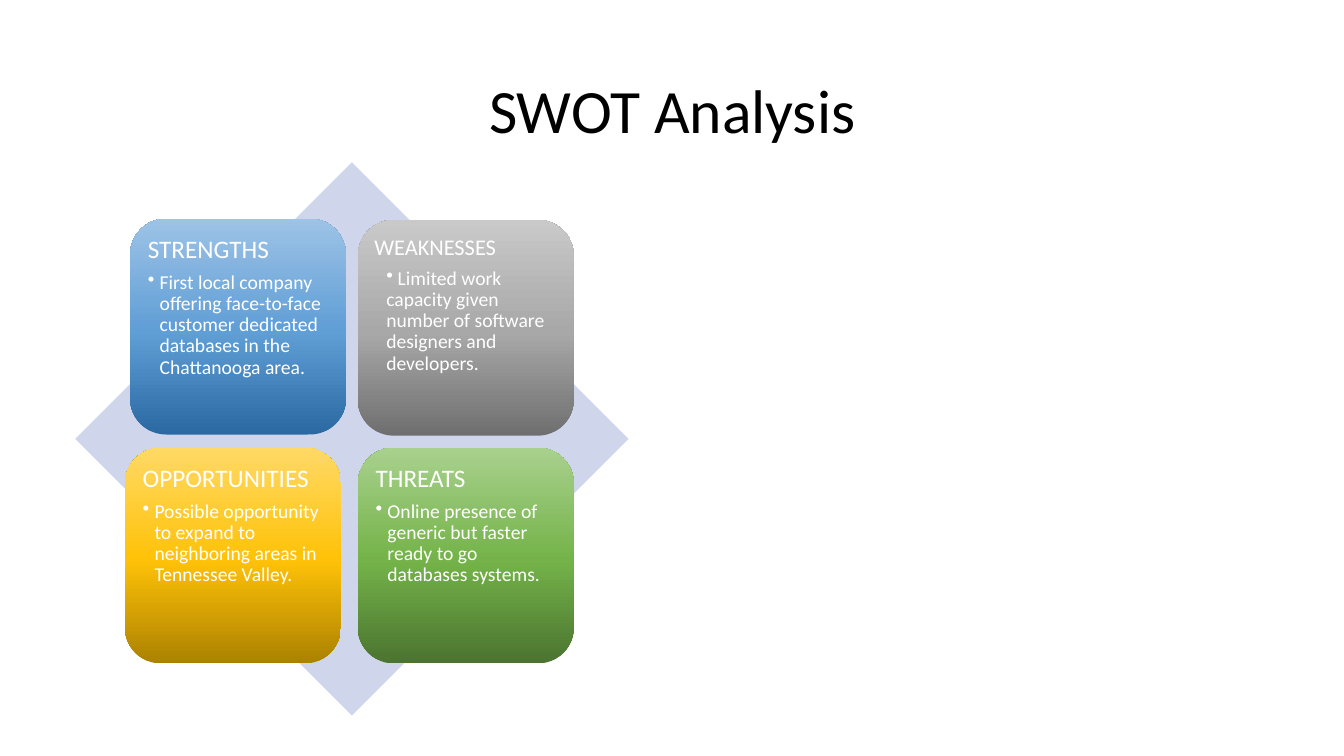
from lxml import etree
from pptx import Presentation
from pptx import util as u
from pptx.dml.color import RGBColor
from pptx.enum import shapes, text
from pptx.oxml import ns

FONT = "Calibri"
SIDE = 5.44  # tile side, cm

# name, left, top, head size, inset, hanging indent, gradient (bottom to top), point
TILES = [
    ("WEAKNESSES", 9.02, 5.54, 16, 0.15, 0, ("6F6F6F", "A8A8A8", "C9C9C9"),
     " Limited work capacity given number of software designers and developers."),
    ("STRENGTHS", 3.28, 5.51, 18, 0.18, -0.3, ("2A69A2", "609ED6", "9DC3E6"),
     "First local company offering face-to-face customer dedicated databases "
     "in the Chattanooga area."),
    ("OPPORTUNITIES", 3.15, 11.28, 18, 0.18, -0.3, ("AB8100", "FFC208", "FFD966"),
     "Possible opportunity to expand to neighboring areas in Tennessee Valley."),
    ("THREATS", 9.02, 11.28, 18, 0.18, -0.3, ("4B7430", "74B349", "A9D18E"),
     "Online presence of generic but faster ready to go databases systems."),
]


def color(code):
    return RGBColor.from_string(code)


def apply(obj, form):
    for key, val in form.items():
        setattr(obj, key, val)


def sub(node, tag, **attrs):
    return etree.SubElement(node, ns.qn(tag), attrs)


def set_frame(frame, inset, anchor):
    sides = ("left", "right", "top", "bottom")
    form = {f"margin_{side}": u.Cm(inset) for side in sides}
    apply(frame, {**form, "word_wrap": True, "vertical_anchor": anchor})


def write(para, words, size, ink, align, after=0):
    apply(para, {"text": words, "alignment": align, "line_spacing": 0.9,
                 "space_before": u.Pt(0), "space_after": u.Pt(after)})
    apply(para.runs[0].font, {"name": FONT, "size": u.Pt(size)})
    para.runs[0].font.color.rgb = color(ink)


def add_bullet(para, hang):
    props = para._p.get_or_add_pPr()
    props.set("marL", str(u.Cm(0.3)))
    props.set("indent", str(u.Cm(hang)))
    sub(props, "a:buChar", char="•")


def add_shape(slide, kind, left, top, side):
    shape = slide.shapes.add_shape(kind, *map(u.Cm, (left, top, side, side)))
    shape.shadow.inherit = False
    shape.line.fill.background()
    return shape


def fade(shape, codes):
    """Fill a shape with three colours running from bottom to top."""
    shape.fill.gradient()
    grad = shape._element.spPr.find(ns.qn("a:gradFill"))
    stops = grad.find(ns.qn("a:gsLst"))
    for stop in list(stops):
        stops.remove(stop)
    for place, code in zip((0, 48, 100), codes):
        stop = sub(stops, "a:gs", pos=str(place * 1000))
        sub(stop, "a:srgbClr", val=code)
    shape.fill.gradient_angle = 90


def add_title(slide, words):
    box = slide.shapes.add_textbox(*map(u.Cm, (2.34, 1.02, 29.21, 3.68)))
    set_frame(box.text_frame, 0.2, text.MSO_ANCHOR.MIDDLE)
    write(box.text_frame.paragraphs[0], words, 44, "000000", text.PP_ALIGN.CENTER)


def add_tile(slide, name, left, top, size, inset, hang, codes, point):
    tile = add_shape(slide, shapes.MSO_SHAPE.ROUNDED_RECTANGLE, left, top, SIDE)
    fade(tile, codes)
    frame = tile.text_frame
    set_frame(frame, inset, text.MSO_ANCHOR.TOP)
    left_side = text.PP_ALIGN.LEFT
    write(frame.paragraphs[0], name, size, "FFFFFF", left_side, size * 0.35)
    para = frame.add_paragraph()
    para.level = 1
    add_bullet(para, hang)
    write(para, point, 14, "FFFFFF", left_side, 2.1)


def main():
    deck = Presentation()
    apply(deck, {"slide_width": u.Cm(33.87), "slide_height": u.Cm(19.05)})
    slide = deck.slides.add_slide(deck.slide_layouts[6])

    add_title(slide, "SWOT Analysis")

    # Diamond behind the four tiles
    back = add_shape(slide, shapes.MSO_SHAPE.DIAMOND, 1.9, 4.09, 13.94)
    back.fill.solid()
    back.fill.fore_color.rgb = color("CFD5EA")

    for tile in TILES:
        add_tile(slide, *tile)

    deck.save("out.pptx")


if __name__ == "__main__":
    main()
